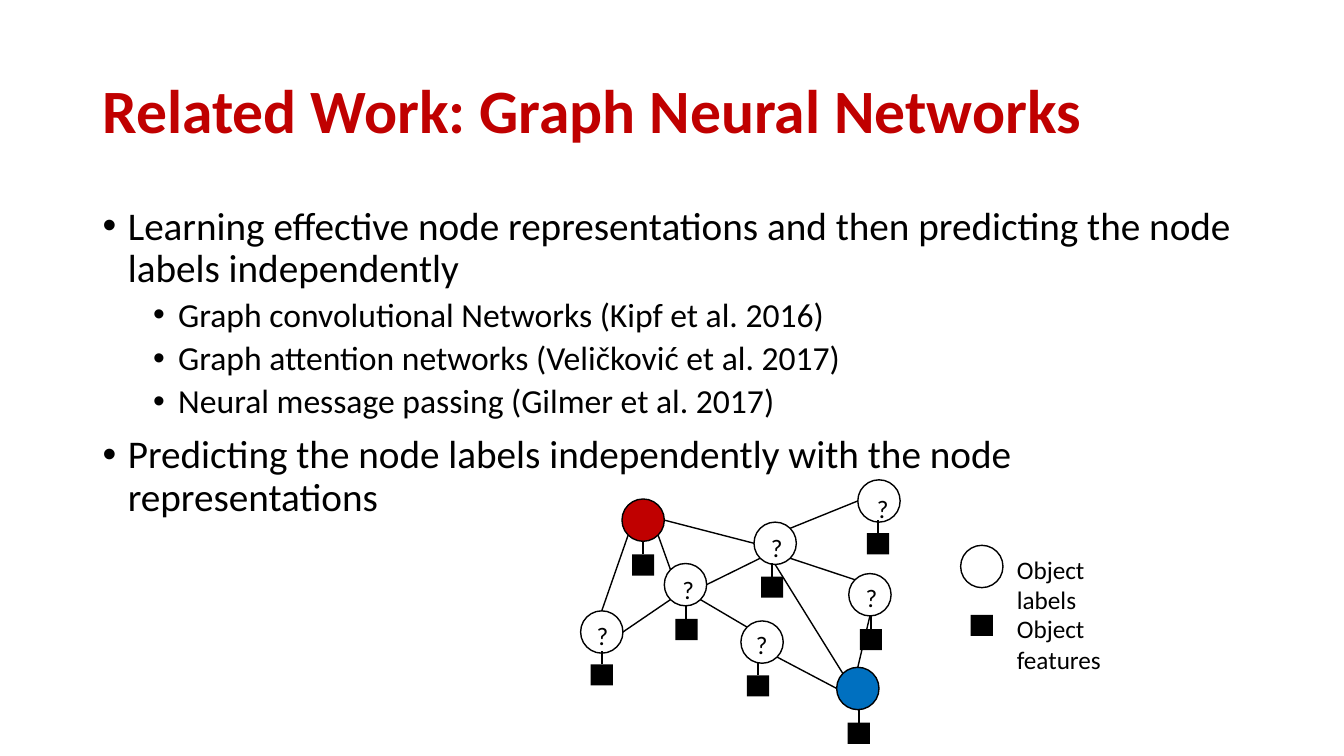
from math import cos, radians, sin

from lxml.etree import SubElement
from pptx import Presentation
from pptx.dml.color import RGBColor
from pptx.enum.shapes import MSO_CONNECTOR as Connector, MSO_SHAPE as Shape
from pptx.enum.text import MSO_ANCHOR as Anchor
from pptx.oxml.ns import qn
from pptx.util import Inches, Pt

COLUMNS, ROWS = 133.33, 75  # grid of square cells
CELL = Inches(0.1)
BLACK, RED, BLUE = "000000", "C00000", "0070C0"
NODE, FEATURE_WIDTH, FEATURE_HEIGHT, STEM = 4.2, 2.2, 2.1, 1.3
COMPASS = {name: radians(45 * step) for step, name in
           enumerate(["E", "SE", "S", "SW", "W", "NW", "N", "NE"])}

# name: (node corner, fill, feature corner, question mark corner)
NODES = {
    "left": ((57.6, 60.6), None, (58.6, 65.9), (58.2, 61)),
    "red": ((61.7, 49.5), RED, (62.7, 55), None),
    "low": ((73.5, 61.6), None, (74.1, 67), (74, 61.9)),
    "middle": ((65.9, 55.9), None, (67, 61.4), (66.7, 56.5)),
    "blue": ((83, 66.2), BLUE, (84.1, 71.7), None),
    "hub": ((74.8, 51.8), None, (75.5, 57.2), (75.5, 52.3)),
    "top": ((85.1, 47.6), None, (86, 52.9), (86, 48.4)),
    "right": ((84.2, 56.9), None, (85.3, 62.4), (84.9, 57.3)),
}
EDGES = [
    ("red", "E", "hub", "W"), ("red", "SW", "left", "N"),
    ("middle", "SW", "left", "E"), ("red", "SE", "middle", "NW"),
    ("hub", "SW", "middle", "E"), ("low", "NW", "middle", "SE"),
    ("hub", "NE", "top", "W"), ("hub", "SE", "right", "NW"),
    ("right", "S", "blue", "N"), ("low", "SE", "blue", "W"),
    ("hub", "S", "blue", "NW"),
]
# (text, level)
POINTS = [
    ("Learning effective node representations and then predicting the node labels independently", 0),
    ("Graph convolutional Networks (Kipf et al. 2016)", 1),
    ("Graph attention networks (Veličković et al. 2017)", 1),
    ("Neural message passing (Gilmer et al. 2017)", 1),
    ("Predicting the node labels independently with the node representations", 0),
]
# level: (font size, space before, left margin in inches)
LEVELS = {0: (28, 10, 0.25), 1: (24, 5, 0.75)}


def color(code):
    return RGBColor.from_string(code)


def cells(*counts):
    return [round(count * CELL) for count in counts]


def assign(target, formats):
    for name, value in formats.items():
        setattr(target, name, value)


def rim(name, direction):
    """Point on a node's circle in the given compass direction."""
    left, top = NODES[name][0]
    angle, radius = COMPASS[direction], NODE / 2
    return left + radius + radius * cos(angle), top + radius + radius * sin(angle)


class Page:
    def __init__(self, deck, font):
        self.font = font
        self.shapes = deck.slides.add_slide(deck.slide_layouts[6]).shapes

    def box(self, corner, width, height, **frame_format):
        frame = self.shapes.add_textbox(*cells(*corner, width, height)).text_frame
        assign(frame, {"word_wrap": True, **frame_format})
        return frame

    def add_text(self, para, text, size, ink=BLACK, bold=False, **para_format):
        assign(para, para_format)
        span = para.add_run()
        span.text = text
        assign(span.font, {"name": self.font, "size": Pt(size), "bold": bold})
        span.font.color.rgb = color(ink)

    def bullets(self, frame, points):
        for index, (text, level) in enumerate(points):
            size, before, margin = LEVELS[level]
            para = frame.add_paragraph() if index else frame.paragraphs[0]
            properties = para._p.get_or_add_pPr()
            properties.set("marL", str(Inches(margin)))
            properties.set("indent", str(Inches(-0.25)))
            SubElement(properties, qn("a:buFont")).set("typeface", "Arial")
            SubElement(properties, qn("a:buChar")).set("char", "•")
            self.add_text(para, text, size, level=level, line_spacing=0.9,
                          space_before=Pt(before if index else 0))

    def shape(self, kind, corner, width, height, fill=None, line=None):
        shape = self.shapes.add_shape(kind, *cells(*corner, width, height))
        shape.shadow.inherit = False
        if fill:
            shape.fill.solid()
            shape.fill.fore_color.rgb = color(fill)
        else:
            shape.fill.background()
        if line:
            shape.line.color.rgb = color(line)
            shape.line.width = Pt(1)
        else:
            shape.line.fill.background()

    def node(self, corner, fill=None):
        self.shape(Shape.OVAL, corner, NODE, NODE, fill, BLACK)

    def feature(self, corner):
        self.shape(Shape.RECTANGLE, corner, FEATURE_WIDTH, FEATURE_HEIGHT, BLACK)

    def line(self, start, end, width):
        line = self.shapes.add_connector(Connector.STRAIGHT, *cells(*start, *end))
        line.line.color.rgb = color(BLACK)
        line.line.width = Pt(width)
        SubElement(line._element.spPr, qn("a:effectLst"))

    def label(self, corner, text, width, wrap=True):
        frame = self.box(corner, width, 3.3, word_wrap=wrap)
        self.add_text(frame.paragraphs[0], text, 18)


def draw_graph(page):
    for corner, fill, _, _ in NODES.values():
        page.node(corner, fill)
    for start, leaving, end, arriving in EDGES:
        page.line(rim(start, leaving), rim(end, arriving), 1)
    for _, _, (left, top), mark in NODES.values():
        page.feature((left, top))
        stem = left + FEATURE_WIDTH / 2
        page.line((stem, top), (stem, top - STEM), 1.5)
        if mark:
            page.label(mark, "?", 3.2, wrap=False)


def draw_legend(page):
    page.feature((96.3, 61))
    page.node((95.3, 54.1))
    page.label((99.9, 54.5), "Object labels", 12.7)
    page.label((99.9, 60.4), "Object features", 14.7)


def main():
    deck = Presentation()
    assign(deck, {"slide_width": round(COLUMNS * CELL), "slide_height": ROWS * CELL})
    page = Page(deck, "Calibri")
    title = page.box((9.2, 4), 115, 14.5, vertical_anchor=Anchor.MIDDLE)
    page.add_text(title.paragraphs[0], "Related Work: Graph Neural Networks", 44,
                  RED, bold=True, line_spacing=0.9)
    page.bullets(page.box((9.2, 20), 115, 43.2), POINTS)
    draw_graph(page)
    draw_legend(page)
    deck.save("out.pptx")


if __name__ == "__main__":
    main()
